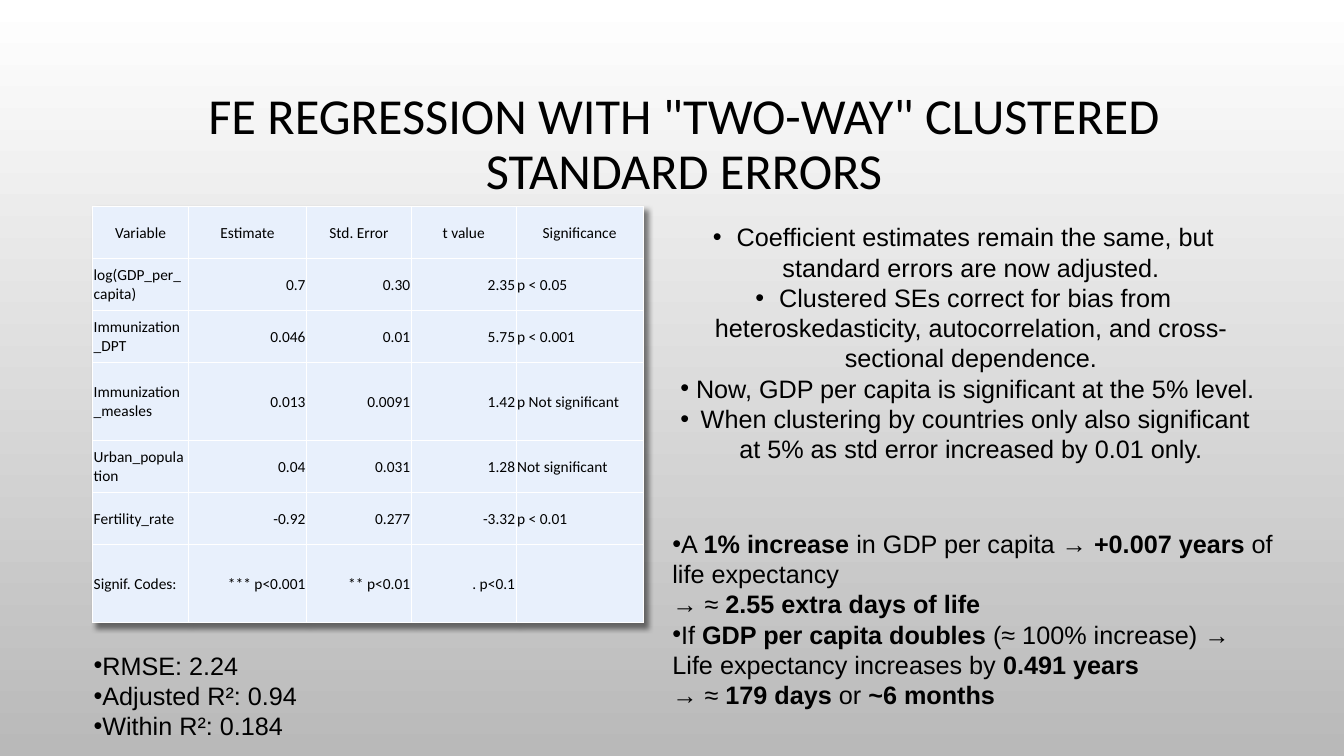
from dataclasses import dataclass
from typing import Any, NamedTuple

from lxml import etree
from pptx import Presentation
from pptx.dml.color import RGBColor
from pptx.enum.text import MSO_ANCHOR, PP_ALIGN
from pptx.oxml.ns import qn
from pptx.util import Inches, Pt

LEFT, MID, RIGHT = PP_ALIGN.LEFT, PP_ALIGN.CENTER, PP_ALIGN.RIGHT
CENTRE = MSO_ANCHOR.MIDDLE
WIDE, HIGH = Inches(13.33), Inches(7.5)


@dataclass(frozen=True)
class Theme:
    ink: str = "000000"
    top: str = "FFFFFF"
    base: str = "B9B9B9"
    cell: str = "E8F0FC"
    rule: str = "FFFFFF"
    head_font: str = "Calibri"
    body_font: str = "Arial"
    head: float = 36
    body: float = 18
    small: float = 11


THEME = Theme()


class Run(NamedTuple):
    text: str
    bold: bool = False


class Area(NamedTuple):
    """Place and size in percent of the slide."""
    x: float
    y: float
    w: float
    h: float


@dataclass(frozen=True)
class Block:
    area: Area
    paras: list[list[Run]]
    align: Any = LEFT
    font: str = THEME.body_font
    size: float = THEME.body
    bullet: bool = True
    space: float = 1.0


def across(share: float) -> int:
    return round(WIDE * share / 100)


def down(share: float) -> int:
    return round(HIGH * share / 100)


def place(area: Area) -> tuple[int, int, int, int]:
    return across(area.x), down(area.y), across(area.w), down(area.h)


def add_run(para: Any, run: Run, font: str, size: float) -> None:
    for i, line in enumerate(run.text.split("\n")):
        if i:
            para.add_line_break()
        if line:
            part = para.add_run()
            part.text = line
            part.font.name, part.font.size = font, Pt(size)
            part.font.bold = run.bold
            part.font.color.rgb = RGBColor.from_string(THEME.ink)


def add_block(slide: Any, block: Block) -> None:
    frame = slide.shapes.add_textbox(*place(block.area)).text_frame
    frame.word_wrap = True
    frame.vertical_anchor = CENTRE
    for i, runs in enumerate(block.paras):
        para = frame.add_paragraph() if i else frame.paragraphs[0]
        if block.bullet:
            props = para._p.get_or_add_pPr()
            etree.SubElement(props, qn("a:buFont"), typeface=THEME.body_font)
            etree.SubElement(props, qn("a:buChar"), char="•")
        para.alignment = block.align
        para.line_spacing = block.space
        for run in runs:
            add_run(para, run, block.font, block.size)


def add_fill(node: Any, hue: str) -> Any:
    fill = etree.SubElement(node, qn("a:solidFill"))
    return etree.SubElement(fill, qn("a:srgbClr"), val=hue)


def style_cell(cell: Any, text: str, align: Any) -> None:
    cell.margin_left = cell.margin_right = cell.margin_top = Inches(0.01)
    cell.margin_bottom = 0
    cell.vertical_anchor = CENTRE
    cell.fill.solid()
    cell.fill.fore_color.rgb = RGBColor.from_string(THEME.cell)
    props = cell._tc.get_or_add_tcPr()
    for i, side in enumerate("LRTB"):
        edge = etree.Element(qn(f"a:ln{side}"), w=str(Pt(1)))
        add_fill(edge, THEME.rule)
        props.insert(i, edge)
    para = cell.text_frame.paragraphs[0]
    para.alignment = align
    para.font.size = Pt(THEME.small)
    add_run(para, Run(text), THEME.head_font, THEME.small)


def add_grid(slide: Any, x: float, y: float, cols: list[float],
             rows: list[float], data: list[list[str]]) -> None:
    area = Area(x, y, sum(cols), sum(rows))
    table = slide.shapes.add_table(len(rows), len(cols), *place(area)).table
    table.first_row = table.horz_banding = False
    for col, share in zip(table.columns, cols):
        col.width = across(share)
    for row, share in zip(table.rows, rows):
        row.height = down(share)
    for r, line in enumerate(data):
        for c, text in enumerate(line):
            side = LEFT if c in (0, len(cols) - 1) else RIGHT
            style_cell(table.cell(r, c), text, side if r else MID)
    # Soft shadow to the lower right
    glow = etree.Element(qn("a:effectLst"))
    shade = etree.SubElement(glow, qn("a:outerShdw"), blurRad=str(Pt(4)),
                             dist=str(Pt(4)), dir="2700000", algn="tl")
    hue = add_fill(shade, THEME.ink)
    shade.replace(hue.getparent(), hue)
    etree.SubElement(hue, qn("a:alpha"), val="50000")
    table._tbl.tblPr.insert(0, glow)


# Wording
TITLE = Block(Area(8.4, 7.6, 85, 23.33),
              [[Run('FE REGRESSION WITH "TWO-WAY" CLUSTERED STANDARD ERRORS')]],
              MID, THEME.head_font, THEME.head, False, 0.9)
FIT = Block(Area(6.23, 85.33, 41.03, 13.33), [
    [Run("RMSE: 2.24")], [Run("Adjusted R²: 0.94")], [Run("Within R²: 0.184")]])
NOTES = Block(Area(49.89, 28.53, 44.7, 33.6), [
    [Run("Coefficient estimates remain the same, but standard errors are now adjusted.")],
    [Run("Clustered SEs correct for bias from heteroskedasticity, autocorrelation, "
         "and cross-sectional dependence.")],
    [Run("Now, GDP per capita is significant at the 5% level.")],
    [Run("When clustering by countries only also significant at 5% as std error "
         "increased by 0.01 only.")]], MID)
GAINS = Block(Area(49.29, 69.07, 48.54, 25.6), [
    [Run("A "), Run("1% increase", True), Run(" in GDP per capita → "),
     Run("+0.007 years", True), Run(" of life expectancy\n→ ≈ "),
     Run("2.55 extra days of life", True)],
    [Run("If "), Run("GDP per capita doubles", True),
     Run(" (≈ 100% increase) →\nLife expectancy increases by "),
     Run("0.491 years\n", True), Run("→ ≈ "), Run("179 days", True),
     Run(" or "), Run("~6 months", True)]])

COLS = [7.13, 8.78, 7.8, 7.8, 9.45]
ROWS = [3.44 * n for n in (2, 2, 2, 3, 2, 2, 3)]
DATA = [
    ["Variable", "Estimate", "Std. Error", "t value", "Significance"],
    ["log(GDP_per_capita)", "0.7", "0.30", "2.35", "p < 0.05"],
    ["Immunization_DPT", "0.046", "0.01", "5.75", "p < 0.001"],
    ["Immunization_measles", "0.013", "0.0091", "1.42", "p Not significant"],
    ["Urban_population", "0.04", "0.031", "1.28", "Not significant"],
    ["Fertility_rate", "-0.92", "0.277", "-3.32", "p < 0.01"],
    ["Signif. Codes:", "*** p<0.001", "** p<0.01", ". p<0.1", ""],
]


def main() -> None:
    deck = Presentation()
    deck.slide_width, deck.slide_height = WIDE, HIGH
    slide = deck.slides.add_slide(deck.slide_layouts[6])

    # Backdrop fading downwards
    fill = slide.background.fill
    fill.gradient()
    fill.gradient_angle = 270
    for stop, hue, spot in zip(fill.gradient_stops, (THEME.top, THEME.base), (0, 1)):
        stop.color.rgb = RGBColor.from_string(hue)
        stop.position = spot

    # Title, table and text blocks
    add_block(slide, TITLE)
    add_grid(slide, 6.9, 27.33, COLS, ROWS, DATA)
    for block in (FIT, NOTES, GAINS):
        add_block(slide, block)
    deck.save("out.pptx")


if __name__ == "__main__":
    main()
